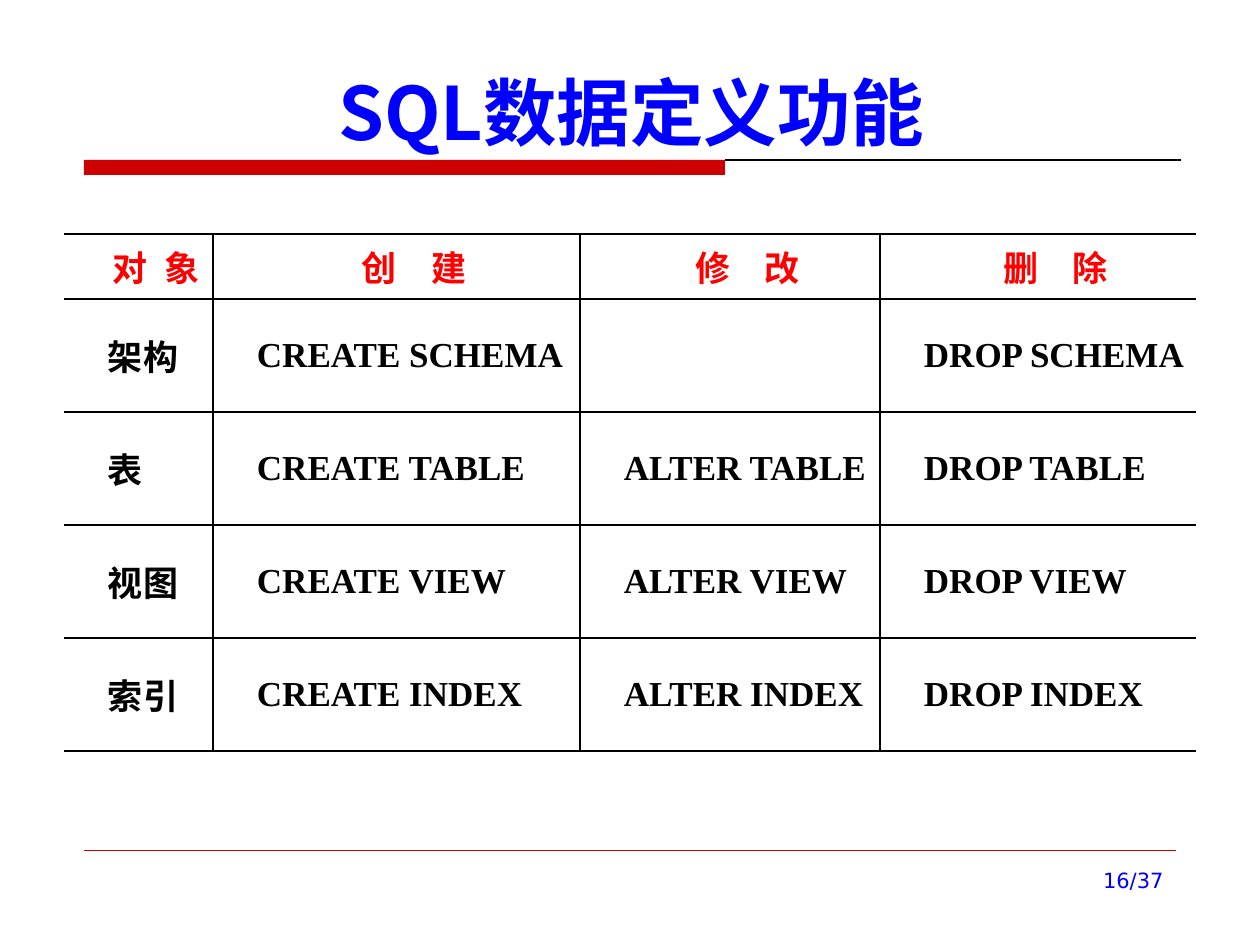
from lxml.etree import SubElement
from pptx import Presentation
from pptx.dml.color import RGBColor
from pptx.enum.shapes import MSO_CONNECTOR, MSO_SHAPE
from pptx.enum.text import MSO_ANCHOR, PP_ALIGN
from pptx.oxml import parse_xml
from pptx.oxml.ns import nsdecls, qn
from pptx.util import Pt

EMU_PER_PX = 914400 / 126
COLORS = {"red": "CC0000", "heading": "FF0000", "blue": "0000FF", "black": "000000"}
CHINESE_FONT = "Noto Sans CJK SC"


def emu(*lengths):
    """Turn px lengths into EMU."""
    return [round(length * EMU_PER_PX) for length in lengths]


def add_run(paragraph, text, color, font_format):
    """Add a run of text with its font values."""
    run = paragraph.add_run()
    run.text = text
    for name, value in font_format.items():
        setattr(run.font, name, value)
    run.font.color.rgb = RGBColor.from_string(COLORS[color])
    SubElement(run.font._element, qn("a:ea")).set("typeface", CHINESE_FONT)
    return run


presentation = Presentation()
presentation.slide_width, presentation.slide_height = emu(1260, 945)
slide = presentation.slides.add_slide(presentation.slide_layouts[6])

# Rules under the title and above the page number
rules = [(725, 1181, 160, "black", 0.75), (84, 1176, 850, "red", 0.25)]
for left, right, y, color, width in rules:
    rule = slide.shapes.add_connector(MSO_CONNECTOR.STRAIGHT, *emu(left, y, right, y))
    rule.line.color.rgb = RGBColor.from_string(COLORS[color])
    rule.line.width = Pt(width)
    SubElement(rule._element.spPr, qn("a:effectLst"))

# Red bar
bar = slide.shapes.add_shape(MSO_SHAPE.RECTANGLE, *emu(84, 160, 641, 15))
bar.shadow.inherit = False
bar.fill.solid()
bar.fill.fore_color.rgb = RGBColor.from_string(COLORS["red"])
bar.line.fill.background()

# Title and page number
text_boxes = [
    ("SQL数据定义功能", (83, 42, 1097, 113), PP_ALIGN.CENTER,
     {"word_wrap": True, "vertical_anchor": MSO_ANCHOR.BOTTOM,
      "margin_top": 0, "margin_bottom": 0},
     {"name": CHINESE_FONT, "size": Pt(42), "bold": True}),
    ("16/37", (903, 861, 273, 66), PP_ALIGN.RIGHT,
     {"word_wrap": True},
     {"name": "DejaVu Sans", "size": Pt(12)}),
]
for text, box, alignment, frame_format, font_format in text_boxes:
    text_frame = slide.shapes.add_textbox(*emu(*box)).text_frame
    for name, value in frame_format.items():
        setattr(text_frame, name, value)
    paragraph = text_frame.paragraphs[0]
    paragraph.alignment = alignment
    add_run(paragraph, text, "blue", font_format)

# Table of statements
headings = [("对", "象", 5), ("创", "建", 15), ("修", "改", 15), ("删", "除", 15)]
statements = [("架构", "SCHEMA"), ("表", "TABLE"), ("视图", "VIEW"), ("索引", "INDEX")]
column_widths = [149, 367, 300, 316]
row_heights = [65] + [113] * len(statements)
table = slide.shapes.add_table(
    len(row_heights), len(column_widths),
    *emu(64, 234, sum(column_widths), sum(row_heights))).table
table.first_row = table.horz_banding = False
for column, width in zip(table.columns, emu(*column_widths)):
    column.width = width
for row, height in zip(table.rows, emu(*row_heights)):
    row.height = height

side_margin, indent = emu(9, 35)
cell_format = {"vertical_anchor": MSO_ANCHOR.MIDDLE, "margin_left": side_margin,
               "margin_right": side_margin, "margin_top": 0, "margin_bottom": 0}
paragraph_format = {"space_before": Pt(1.2), "space_after": Pt(1.2)}
table_font = {"name": "Times New Roman", "size": Pt(20), "bold": True}
last_column = len(column_widths) - 1

for row_index in range(len(row_heights)):
    for column_index in range(len(column_widths)):
        cell = table.cell(row_index, column_index)
        for name, value in cell_format.items():
            setattr(cell, name, value)
        cell.fill.background()

        # Borders on every side but the outer left and right
        hidden = {"L": column_index == 0, "R": column_index == last_column}
        for position, side in enumerate("LRTB"):
            paint = ("<a:noFill/>" if hidden.get(side) else
                     f'<a:solidFill><a:srgbClr val="{COLORS["black"]}"/></a:solidFill>')
            cell._tc.tcPr.insert(position, parse_xml(
                f'<a:ln{side} {nsdecls("a")} w="{Pt(1)}">{paint}</a:ln{side}>'))

        paragraph = cell.text_frame.paragraphs[0]
        for name, value in paragraph_format.items():
            setattr(paragraph, name, value)
        paragraph._p.get_or_add_pPr().set("indent", str(indent))

        if row_index == 0:
            # Heading characters are set apart by a widened space
            first, second, gap = headings[column_index]
            paragraph.alignment = PP_ALIGN.CENTER
            add_run(paragraph, first, "heading", table_font)
            space = add_run(paragraph, " ", "heading", table_font)
            space.font._element.set("spc", str(gap * 100))
            add_run(paragraph, second, "heading", table_font)
            continue

        label, keyword = statements[row_index - 1]
        texts = [label] + [f"{verb} {keyword}" for verb in ("CREATE", "ALTER", "DROP")]
        if texts[column_index] != "ALTER SCHEMA":
            paragraph.alignment = PP_ALIGN.LEFT
            add_run(paragraph, texts[column_index], "black", table_font)

presentation.save("out.pptx")
